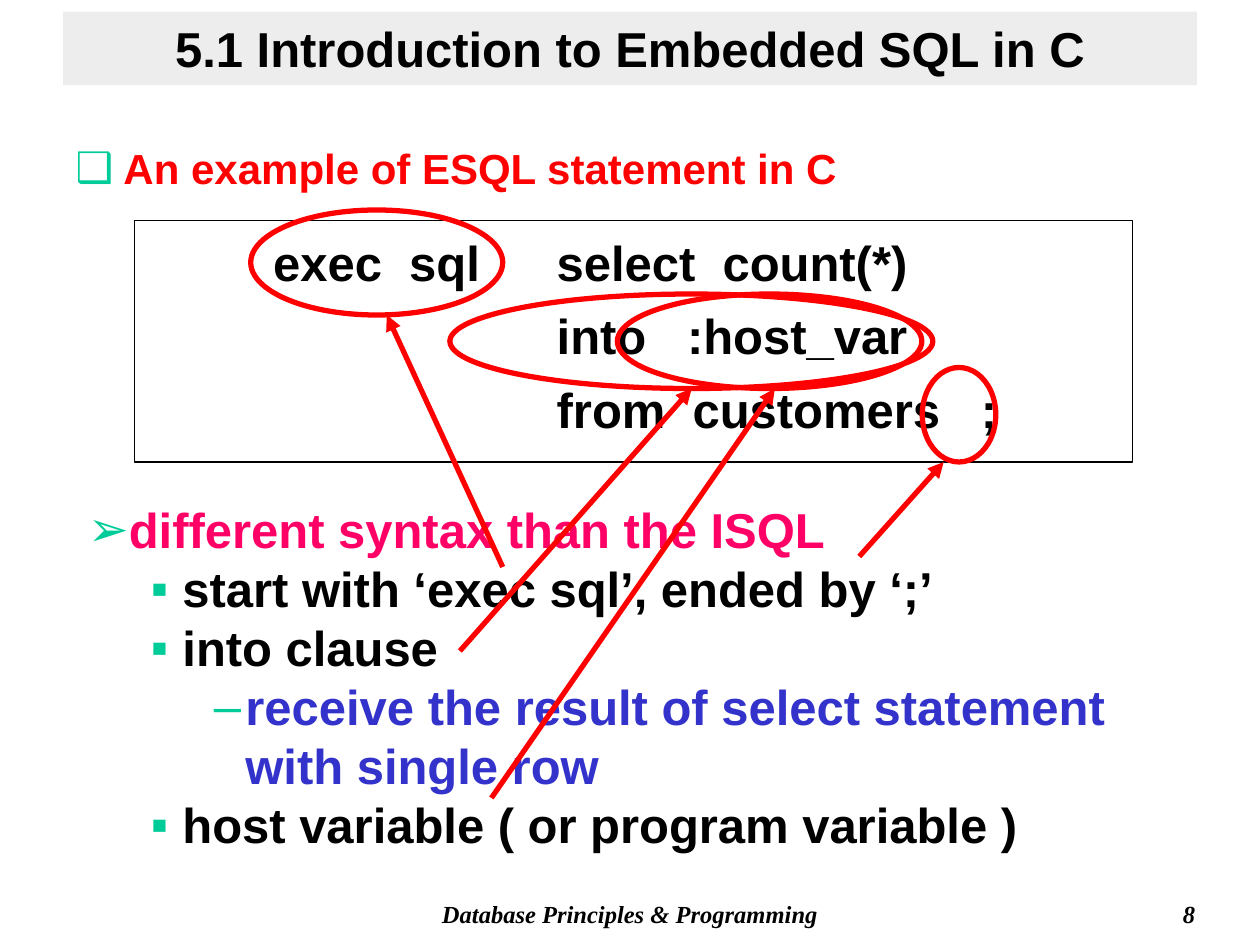
import pptx
import pptx.util
import pptx.dml.color
import pptx.enum.shapes
import pptx.enum.text
import pptx.oxml
import pptx.oxml.ns

SHAPE = pptx.enum.shapes.MSO_SHAPE
ALIGN = pptx.enum.text.PP_ALIGN
ANCHOR = pptx.enum.text.MSO_ANCHOR
NS = pptx.oxml.ns.nsdecls("a")


def hue(code):
    return pptx.dml.color.RGBColor.from_string(code)


def cell(num):
    return pptx.util.Inches(num / 12)


def node(xml):
    return pptx.oxml.parse_xml(xml)


class Deck:
    face = "Arial"
    ink = "000000"
    red = "FF0000"
    mint = "00CC99"

    def __init__(self):
        self.file = pptx.Presentation()
        self.file.slide_width = cell(120)
        self.file.slide_height = cell(90)
        self.slide = self.file.slides.add_slide(self.file.slide_layouts[1])

    def place(self, item, box):
        item.left, item.top, item.width, item.height = map(cell, box)
        return item

    def frame(self, item, anchor=ANCHOR.TOP):
        frame = item.text_frame
        frame.word_wrap = True
        frame.auto_size = pptx.enum.text.MSO_AUTO_SIZE.NONE
        frame.margin_left = frame.margin_right = pptx.util.Inches(0.1)
        frame.margin_top = frame.margin_bottom = pptx.util.Inches(0.05)
        frame.vertical_anchor = anchor
        return frame

    def para(self, frame, text, size=28, color=ink, face=face, slant=False,
             align=ALIGN.LEFT, left=0, hang=0, mark=None, pitch=1.0, gap=0):
        first = not frame.paragraphs[0].runs
        para = frame.paragraphs[0] if first else frame.add_paragraph()
        prop = para._p.get_or_add_pPr()
        prop.set("marL", str(pptx.util.Inches(left)))
        prop.set("indent", str(-pptx.util.Inches(hang)))
        prop.set("defTabSz", str(pptx.util.Inches(1)))
        if mark:
            prop.append(node(f'<a:buClr {NS}><a:srgbClr val="{self.mint}"/></a:buClr>'))
            prop.append(node(f'<a:buFont {NS} typeface="{self.face}"/>'))
            prop.append(node(f'<a:buChar {NS} char="{mark}"/>'))
        else:
            prop.append(node(f"<a:buNone {NS}/>"))
        para.alignment = align
        para.line_spacing = pitch
        para.space_before = pptx.util.Pt(0 if first else gap)
        para.space_after = pptx.util.Pt(0)
        run = para.add_run()
        run.text = text
        font = run.font
        font.name, font.size = face, pptx.util.Pt(size)
        font.bold, font.italic = True, slant
        font.color.rgb = hue(color)

    def title(self, text, box):
        item = self.place(self.slide.shapes.title, box)
        item.fill.solid()
        item.fill.fore_color.rgb = hue("DDDDDD")
        tint = item._element.spPr.find(".//" + pptx.oxml.ns.qn("a:srgbClr"))
        tint.append(node(f'<a:alpha {NS} val="50000"/>'))
        self.para(self.frame(item, ANCHOR.MIDDLE), text, align=ALIGN.CENTER)

    def body(self, text, box):
        item = self.place(self.slide.placeholders[1], box)
        self.para(self.frame(item), text, size=24, color=self.red,
                  left=0.38, hang=0.38, mark="❑")

    def note(self, box):
        return self.frame(self.slide.shapes.add_textbox(*map(cell, box)))

    def foot(self, text, box, align):
        self.para(self.note(box), text, size=14, face="Times New Roman",
                  slant=True, align=align)

    def list(self, rows, box):
        kinds = {1: (0.81, 0.31, "➢"), 2: (1.25, 0.25, "▪"), 3: (1.75, 0.25, "–")}
        frame = self.note(box)
        for level, color, text in rows:
            left, hang, mark = kinds[level]
            self.para(frame, text, color=color, left=left, hang=hang, mark=mark,
                      pitch=pptx.util.Pt(33.7))

    def shape(self, kind, box, line, width):
        item = self.slide.shapes.add_shape(kind, *map(cell, box))
        item.shadow.inherit = False
        item.fill.background()
        item.line.color.rgb = hue(line)
        item.line.width = pptx.util.Pt(width)
        return item

    def code(self, rows, box):
        item = self.shape(SHAPE.RECTANGLE, box, self.ink, 0.75)
        item.fill.solid()
        item.fill.fore_color.rgb = hue("FFFFFF")
        frame = self.frame(item)
        for text in rows:
            self.para(frame, text, left=1.25, hang=0.25, pitch=1.1, gap=5)

    def ring(self, box):
        self.shape(SHAPE.OVAL, box, self.red, 3)

    def arrow(self, ends):
        kind = pptx.enum.shapes.MSO_CONNECTOR.STRAIGHT
        item = self.slide.shapes.add_connector(kind, *map(cell, ends))
        item.line.color.rgb = hue(self.red)
        item.line.width = pptx.util.Pt(3)
        item.line._get_or_add_ln().append(node(f'<a:tailEnd {NS} type="triangle"/>'))
        item._element.spPr.append(node(f"<a:effectLst {NS}/>"))

    def save(self):
        self.file.save("out.pptx")


def main():
    deck = Deck()
    deck.foot("Database Principles & Programming", (34, 85, 52, 4), ALIGN.CENTER)
    deck.foot("8", (90, 85, 25, 4), ALIGN.RIGHT)
    deck.title("5.1 Introduction to Embedded SQL in C", (6, 1.1, 108, 7))
    deck.body("An example of ESQL statement in C", (6, 13, 108, 6))
    deck.list([
        (1, "FF0066", "different syntax than the ISQL"),
        (2, deck.ink, "start with ‘exec sql’, ended by ‘;’"),
        (2, deck.ink, "into clause"),
        (3, "3333CC", "receive the result of select statement with single row"),
        (2, deck.ink, "host variable ( or program variable )"),
    ], (1.2, 47, 108, 34))
    deck.code([
        "exec  sql\tselect  count(*)",
        "\t\t\tinto   :host_var",
        "\t\t\tfrom  customers   ;",
    ], (12.84, 21, 95, 23))
    for box in ((42.84, 28, 46, 9), (58.8, 28, 29, 9),
                (23.88, 20, 24, 10), (87.84, 35, 7, 9)):
        deck.ring(box)
    for ends in ((43.8, 62, 65.88, 37), (46.8, 76, 73.8, 37),
                 (81.84, 53, 89.88, 44), (47.88, 54, 36.84, 30)):
        deck.arrow(ends)
    deck.save()


if __name__ == "__main__":
    main()
